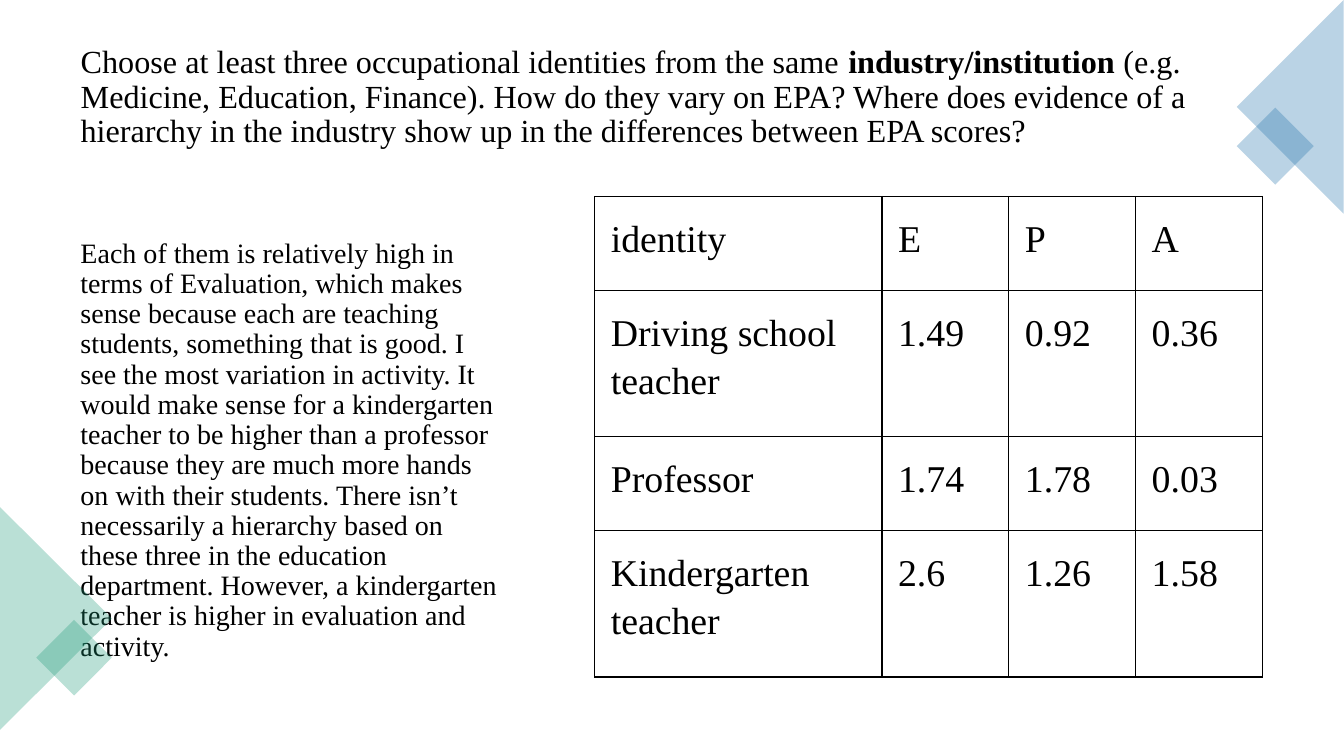
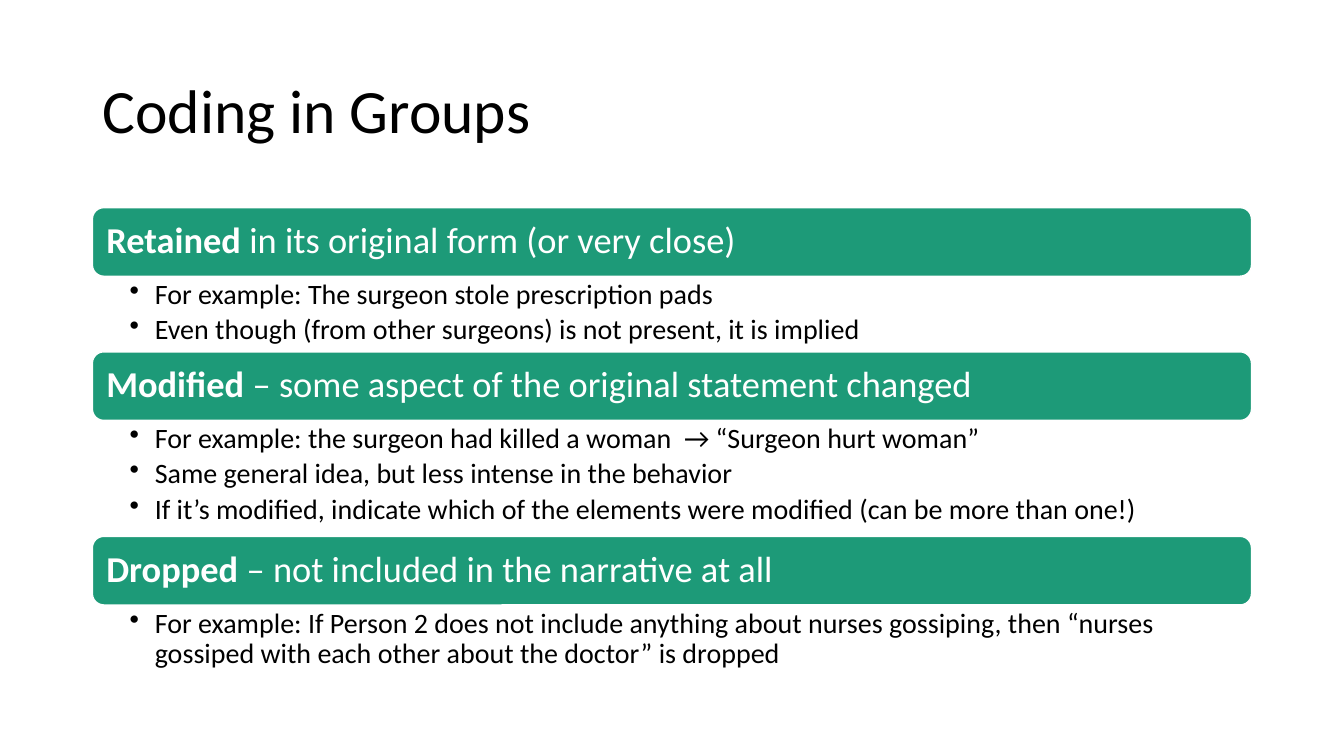
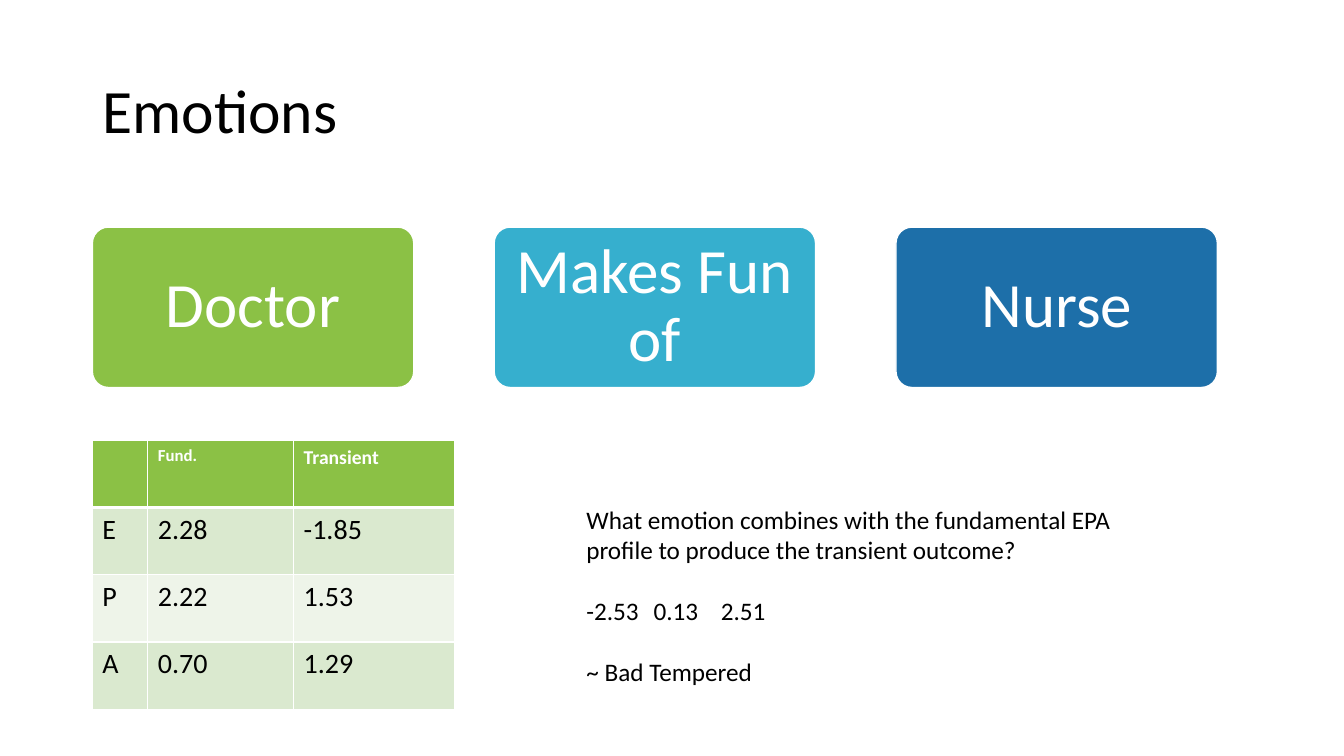
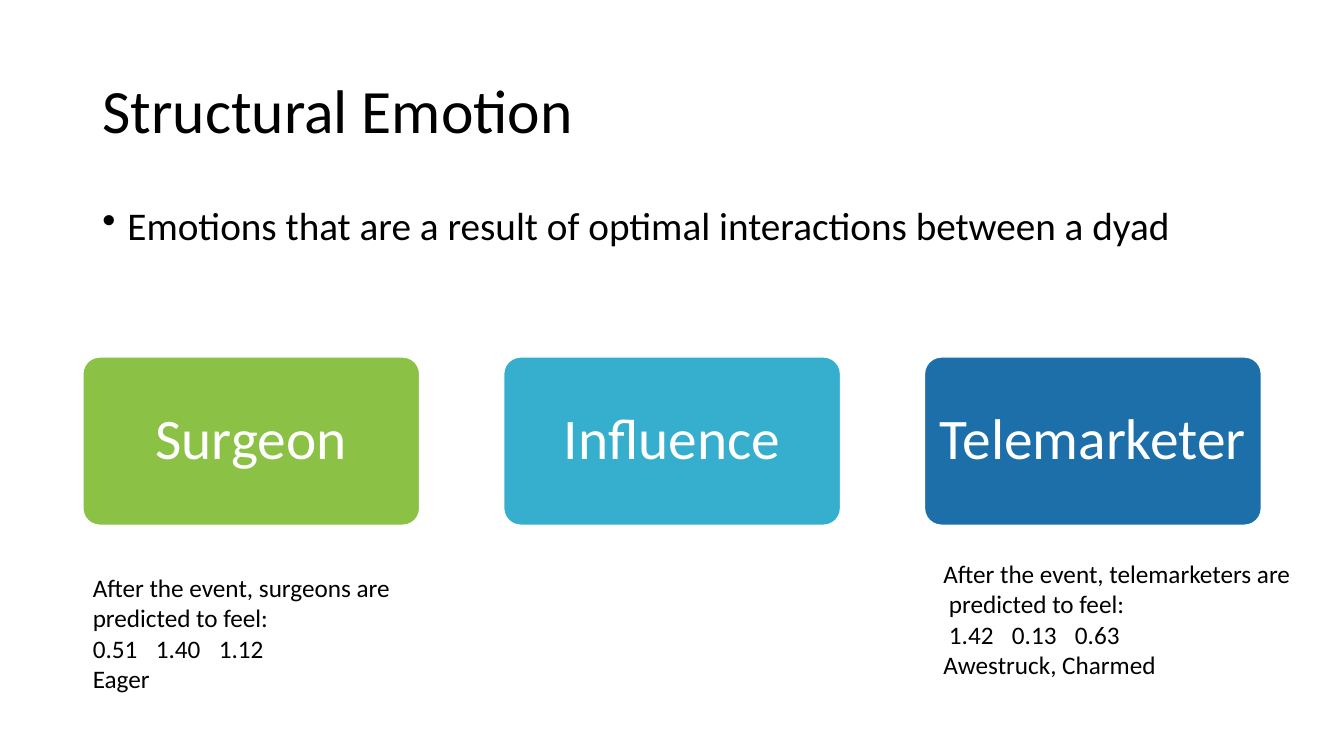
from dataclasses import dataclass
from typing import Any, Sequence, Union

from pptx import Presentation
from pptx.dml import color
from pptx.enum import shapes, text
from pptx.oxml import ns, xmlchemy
from pptx.util import Pt

BLACK, WHITE = "000000", "FFFFFF"
TEAL, BLUE, LIME, CYAN = "1D9A78", "1D6FA9", "8BC145", "36AFCE"
PALE, PALER = "DAE9CF", "EEF4E9"
SANS, SERIF = "Calibri", "Times New Roman"
MARGIN, CONTENT_WIDTH = 66, 828
MIDDLE = text.MSO_ANCHOR.MIDDLE
DEFAULT_INSETS = (7.2, 3.6, 7.2, 3.6)


@dataclass(frozen=True)
class Line:
    pieces: tuple[str, ...]
    bold_piece: int = -1
    before: float = 0
    indent: float = 0


@dataclass(frozen=True)
class Box:
    left: float
    top: float
    width: float
    height: float

    def lengths(self) -> tuple[Pt, Pt, Pt, Pt]:
        return Pt(self.left), Pt(self.top), Pt(self.width), Pt(self.height)


@dataclass(frozen=True)
class Section:
    heading: Line
    points: tuple[str, ...]
    points_height: float


@dataclass(frozen=True)
class Corner:
    preset: Any
    box: Box
    rotation: float
    fill: str


Content = Sequence[Union[str, Line]]


def rgb(value: str) -> color.RGBColor:
    return color.RGBColor.from_string(value)


def add_xml(parent: Any, tag: str, **attributes: Any) -> Any:
    child = xmlchemy.OxmlElement(tag)
    for name, value in attributes.items():
        child.set(name, str(value))
    parent.append(child)
    return child


def write(frame: Any, content: Content, *, size: float, font: str = SANS,
          fill: str = BLACK, bold: bool = False, align: Any = text.PP_ALIGN.LEFT,
          spacing: float = 1.0, after: float = 0, bullet: bool = False,
          tab: float = 45, anchor: Any = None,
          insets: tuple[float, float, float, float] | None = DEFAULT_INSETS) -> None:
    if insets:
        frame.word_wrap = True
        frame.auto_size = text.MSO_AUTO_SIZE.NONE
        frame.vertical_anchor = anchor or text.MSO_ANCHOR.TOP
        frame.margin_left, frame.margin_top, frame.margin_right, frame.margin_bottom = map(Pt, insets)
    for index, item in enumerate(content):
        line = Line((item,)) if isinstance(item, str) else item
        paragraph = frame.add_paragraph() if index else frame.paragraphs[0]
        paragraph.alignment = align
        paragraph.line_spacing = spacing
        paragraph.space_before, paragraph.space_after = Pt(line.before), Pt(after)
        properties = paragraph._p.get_or_add_pPr()
        if bullet:
            properties.set("marL", str(Pt(18)))
            properties.set("indent", str(-Pt(18)))
            add_xml(properties, "a:buChar", char="•")
        elif line.indent:
            properties.set("marL", str(Pt(line.indent)))
        if any("\t" in piece for piece in line.pieces):
            stops = add_xml(properties, "a:tabLst")
            for step in (1, 2):
                add_xml(stops, "a:tab", pos=Pt(tab * step), algn="l")
        for position, piece in enumerate(line.pieces):
            run = paragraph.add_run()
            run.text = piece
            run.font.name, run.font.size = font, Pt(size)
            run.font.bold = bold or position == line.bold_piece
            run.font.color.rgb = rgb(fill)


def add_text(slide: Any, box: Box, content: Content, **style: Any) -> None:
    write(slide.shapes.add_textbox(*box.lengths()).text_frame, content, **style)


def add_titled_slide(presentation: Any, title: Line,
                     box: Box = Box(MARGIN, 28.8, CONTENT_WIDTH, 104.4),
                     size: float = 44, font: str = SANS) -> Any:
    slide = presentation.slides.add_slide(presentation.slide_layouts[5])
    shape = slide.shapes.title
    shape.left, shape.top, shape.width, shape.height = box.lengths()
    write(shape.text_frame, [title], size=size, font=font, spacing=0.9, anchor=MIDDLE)
    return slide


def add_shape(slide: Any, preset: Any, box: Box, fill: str) -> Any:
    shape = slide.shapes.add_shape(preset, *box.lengths())
    shape.shadow.inherit = False
    shape.fill.solid()
    shape.fill.fore_color.rgb = rgb(fill)
    shape.line.color.rgb = rgb(WHITE)
    shape.line.width = Pt(1)
    return shape


def add_corner(slide: Any, corner: Corner) -> None:
    shape = add_shape(slide, corner.preset, corner.box, corner.fill)
    shape.rotation = corner.rotation
    shape.line.fill.background()
    add_xml(shape._element.spPr.find(".//" + ns.qn("a:srgbClr")), "a:alpha", val=30000)


def add_cards(slide: Any, labels: Sequence[str], first: Box, pitch: float, size: float) -> None:
    for index, (label, fill) in enumerate(zip(labels, (LIME, CYAN, BLUE))):
        box = Box(first.left + index * pitch, first.top, first.width, first.height)
        card = add_shape(slide, shapes.MSO_SHAPE.ROUNDED_RECTANGLE, box, fill)
        card.adjustments[0] = 0.1
        write(card.text_frame, [label], size=size, fill=WHITE, spacing=0.9,
              align=text.PP_ALIGN.CENTER, anchor=MIDDLE, insets=(6.4, 4.3, 6.4, 4.3))


def add_grid(slide: Any, left: float, top: float, widths: Sequence[float],
             heights: Sequence[float],
             values: Sequence[Sequence[str]]) -> list[tuple[int, int, Any, str]]:
    box = Box(left, top, sum(widths), sum(heights))
    table = slide.shapes.add_table(len(heights), len(widths), *box.lengths()).table
    table.first_row = table.horz_banding = False
    for column, width in zip(table.columns, widths):
        column.width = Pt(width)
    for row, height in zip(table.rows, heights):
        row.height = Pt(height)
    return [(row, column, table.cell(row, column), value)
            for row, row_values in enumerate(values)
            for column, value in enumerate(row_values)]


def format_cell(cell: Any, value: str, *, border: str, background: str | None = None,
                inset: tuple[float, float] = (7.2, 3.6), top_line: float = 1,
                bottom_line: float = 1, **style: Any) -> None:
    cell.margin_left = cell.margin_right = Pt(inset[0])
    cell.margin_top = cell.margin_bottom = Pt(inset[1])
    properties = cell._tc.get_or_add_tcPr()
    for side, width in (("L", 1), ("R", 1), ("T", top_line), ("B", bottom_line)):
        line = add_xml(properties, f"a:ln{side}", w=Pt(width))
        add_xml(add_xml(line, "a:solidFill"), "a:srgbClr", val=border)
    if background:
        cell.fill.solid()
        cell.fill.fore_color.rgb = rgb(background)
    else:
        cell.fill.background()
    if value:
        write(cell.text_frame, [value], insets=None, **style)


def build_identities(presentation: Any) -> None:
    title = Line((
        "Choose at least three occupational identities from the same ",
        "industry/institution ",
        "(e.g. Medicine, Education, Finance). How do they vary on EPA? Where does evidence "
        "of a hierarchy in the industry show up in the differences between EPA scores?",
    ), bold_piece=1)
    slide = add_titled_slide(presentation, title, Box(50.4, 25.2, 859, 89.3), 23, SERIF)
    add_text(slide, Box(50.4, 167.1, 315.4, 319.6), [
        "Each of them is relatively high in terms of Evaluation, which makes sense because each "
        "are teaching students, something that is good. I see the most variation in activity. "
        "It would make sense for a kindergarten teacher to be higher than a professor because "
        "they are much more hands on with their students. There isn’t necessarily a hierarchy "
        "based on these three in the education department. However, a kindergarten teacher is "
        "higher in evaluation and activity."], size=20, font=SERIF, spacing=0.9)
    triangle, square = shapes.MSO_SHAPE.ISOSCELES_TRIANGLE, shapes.MSO_SHAPE.RECTANGLE
    for corner in (
        Corner(triangle, Box(-39.6, 401.8, 159.1, 79.9), 90, TEAL),
        Corner(square, Box(33.8, 450.7, 38.2, 38.2), 45, TEAL),
        Corner(square, Box(891.4, 85, 38.9, 38.9), 45, BLUE),
        Corner(triangle, Box(845.3, 38.2, 152.6, 76.3), 270, BLUE),
    ):
        add_corner(slide, corner)
    values = (
        ("identity", "E", "P", "A"),
        ("Driving school teacher", "1.49", "0.92", "0.36"),
        ("Professor", "1.74", "1.78", "0.03"),
        ("Kindergarten teacher", "2.6", "1.26", "1.58"),
    )
    widths = (205.2,) + (90.6,) * 3
    for _, _, cell, value in add_grid(slide, 424.8, 140.4, widths, (67, 104.6) * 2, values):
        format_cell(cell, value, border=BLACK, inset=(11.5, 11.5),
                    size=27, font=SERIF, spacing=1.15)


def build_coding(presentation: Any) -> None:
    slide = add_titled_slide(presentation, Line(("Coding in Groups",)))
    sections = (
        Section(Line(("Retained", " in its original form (or very close)"), 0), (
            "For example: The surgeon stole prescription pads",
            "Even though (from other surgeons) is not present, it is implied"), 54),
        Section(Line(("Modified ", "– some aspect of the original statement changed"), 0), (
            "For example: the surgeon had killed a woman  → “Surgeon hurt woman”",
            "Same general idea, but less intense in the behavior",
            "If it’s modified, indicate which of the elements were modified "
            "(can be more than one!)"), 82.8),
        Section(Line(("Dropped ", "– not included in the narrative at all"), 0), (
            "For example: If Person 2 does not include anything about nurses gossiping, then "
            "“nurses gossiped with each other about the doctor” is dropped",), 49.7),
    )
    top, bar_height = 148.3, 49
    for section in sections:
        bar = add_shape(slide, shapes.MSO_SHAPE.ROUNDED_RECTANGLE,
                        Box(MARGIN, top, CONTENT_WIDTH, bar_height), TEAL)
        write(bar.text_frame, [section.heading], size=26, fill=WHITE, spacing=0.9,
              anchor=MIDDLE, insets=(7.6, 4, 7.6, 4))
        top += bar_height
        add_text(slide, Box(MARGIN, top, CONTENT_WIDTH, section.points_height), section.points,
                 size=20, spacing=0.9, after=3.6, bullet=True, insets=(26.6, 2.9, 14.4, 2.9))
        top += section.points_height


def build_emotions(presentation: Any) -> None:
    slide = add_titled_slide(presentation, Line(("Emotions",)))
    values = (
        ("", "Fund.", "Transient"),
        ("E", "2.28", "-1.85"),
        ("P", "2.22", "1.53"),
        ("A", "0.70", "1.29"),
    )
    header_sizes = (12, 12, 14)
    cells = add_grid(slide, MARGIN, 314.6, (39.6, 104.2, 115), (48,) * 4, values)
    for row, column, cell, value in cells:
        if row == 0:
            format_cell(cell, value, border=WHITE, background=LIME, bottom_line=3,
                        size=header_sizes[column], fill=WHITE, bold=True)
        else:
            format_cell(cell, value, border=WHITE, background=PALE if row % 2 else PALER,
                        top_line=3 if row == 1 else 1, size=20)
    add_cards(slide, ("Doctor", "Makes Fun of", "Nurse"), Box(MARGIN, 162.2, 229.6, 114.6), 287, 45)
    add_text(slide, Box(411.8, 356.4, 415.4, 138.2), [
        "What emotion combines with the fundamental EPA profile to produce the transient outcome?",
        Line(("-2.53\t0.13\t2.51",), before=22),
        Line(("~ Bad Tempered",), before=22)], size=18, tab=48)


def build_structural(presentation: Any) -> None:
    slide = add_titled_slide(presentation, Line(("Structural Emotion",)))
    add_text(slide, Box(MARGIN, 144, CONTENT_WIDTH, 342.7),
             ["Emotions that are a result of optimal interactions between a dyad"],
             size=28, spacing=0.9, bullet=True)
    add_cards(slide, ("Surgeon", "Influence", "Telemarketer"),
              Box(59.2, 255, 240.6, 120.2), 300.6, 41)
    add_text(slide, Box(59.2, 405.4, 234, 94.3), [
        "After the event, surgeons are", "predicted to feel:", "0.51\t1.40\t1.12", "Eager"], size=18)
    add_text(slide, Box(666.7, 395.3, 270, 94.3), [
        "After the event, telemarketers are",
        Line(("predicted to feel:",), indent=4),
        Line(("1.42\t0.13\t0.63",), indent=4),
        "Awestruck, Charmed"], size=18)


def main() -> None:
    presentation = Presentation()
    presentation.slide_width, presentation.slide_height = Pt(960), Pt(540)
    for build in (build_identities, build_coding, build_emotions, build_structural):
        build(presentation)
    presentation.save("out.pptx")


if __name__ == "__main__":
    main()
